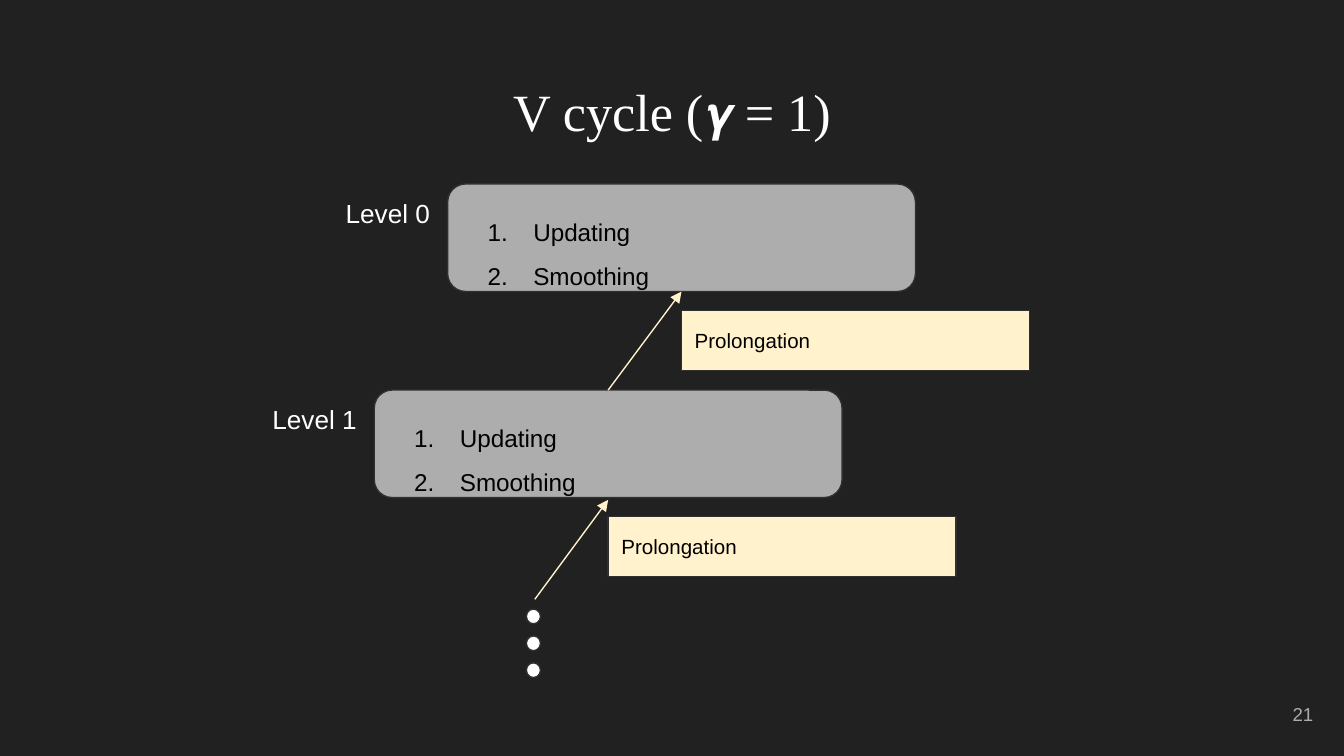
from lxml.etree import SubElement
from pptx import Presentation
from pptx.dml.color import RGBColor
from pptx.enum.shapes import MSO_CONNECTOR, MSO_SHAPE
from pptx.enum.text import MSO_ANCHOR, PP_ALIGN
from pptx.oxml.ns import qn
from pptx.util import Pt

DARK, EDGE, GRAY, CREAM = "212121", "303030", "ADADAD", "FFF2CC"
WHITE, BLACK = "FFFFFF", "000000"


def paint(target, color):
    """Give a fill a solid colour."""
    target.solid()
    target.fore_color.rgb = RGBColor.from_string(color)


def write(shape, text, size, color, font="Arial", align=PP_ALIGN.LEFT,
          anchor=MSO_ANCHOR.TOP, numbered=False):
    """Fill a shape with one paragraph per line of text."""
    frame = shape.text_frame
    frame.word_wrap = True
    frame.vertical_anchor = anchor
    frame.margin_left = frame.margin_right = Pt(7.2)
    frame.margin_top = frame.margin_bottom = Pt(7.2)
    frame.text = text
    for para in frame.paragraphs:
        para.alignment = align
        if numbered:
            para.line_spacing = 1.5
            props = para._p.get_or_add_pPr()
            props.set("marL", str(Pt(36)))
            props.set("indent", str(Pt(-24.5)))
            bullet_color = SubElement(props, qn("a:buClr"))
            SubElement(bullet_color, qn("a:srgbClr"), val=color)
            SubElement(props, qn("a:buFont"), typeface=font)
            SubElement(props, qn("a:buAutoNum"), type="arabicPeriod")
        para.font.name = font
        para.font.size = Pt(size)
        paint(para.font.fill, color)


deck = Presentation()
deck.slide_width, deck.slide_height = Pt(720), Pt(405)
page = deck.slides.add_slide(deck.slide_layouts[6])
paint(page.background.fill, DARK)
shapes = page.shapes

title = shapes.add_textbox(Pt(24.5), Pt(35.3), Pt(671), Pt(45.4))
write(title, "V cycle (𝞬 = 1)", 28, WHITE, font="Times New Roman", align=PP_ALIGN.CENTER)

# Each level sits one step down and to the left of the level above
step_x, step_y = 39.3, 110.4
box_width, box_height = 250.6, 57.6
level_boxes, outlined = [], []
for level in range(2):
    left, top = 239.8 - level * step_x, 98.6 + level * step_y
    middle = left + box_width / 2

    box = shapes.add_shape(MSO_SHAPE.ROUNDED_RECTANGLE,
                           Pt(left), Pt(top), Pt(box_width), Pt(box_height))
    paint(box.fill, GRAY)
    write(box, "Updating\nSmoothing", 13, BLACK, numbered=True)
    level_boxes.append(box)

    step_label = shapes.add_shape(MSO_SHAPE.RECTANGLE,
                                  Pt(middle), Pt(top + 67.6), Pt(186.4), Pt(32.4))
    paint(step_label.fill, CREAM)
    write(step_label, "Prolongation", 11, BLACK, anchor=MSO_ANCHOR.MIDDLE)
    outlined += [box, step_label]

    level_name = shapes.add_textbox(Pt(left - 61.7), Pt(top), Pt(62), Pt(32.4))
    write(level_name, f"Level {level}", 14, WHITE)

for index in range(3):
    dot = shapes.add_shape(MSO_SHAPE.FLOWCHART_CONNECTOR,
                           Pt(282), Pt(326.3 + index * 14.4), Pt(7.6), Pt(7.9))
    paint(dot.fill, WHITE)
    outlined.append(dot)

for shape in outlined:
    shape.shadow.inherit = False
    paint(shape.line.fill, EDGE)
    shape.line.width = Pt(0.75)

upper, lower = level_boxes
rise = shapes.add_connector(MSO_CONNECTOR.STRAIGHT, 0, 0, 0, 0)
rise.begin_connect(lower, 0)
rise.end_connect(upper, 2)
rise_from_below = shapes.add_connector(MSO_CONNECTOR.STRAIGHT,
                                       Pt(286.5), Pt(321.1), Pt(325.8), Pt(267.8))
for arrow in (rise, rise_from_below):
    paint(arrow.line.fill, CREAM)
    arrow.line.width = Pt(0.75)
    SubElement(arrow.line._get_or_add_ln(), qn("a:tailEnd"), type="triangle")
    SubElement(arrow._element.spPr, qn("a:effectLst"))

number = shapes.add_textbox(Pt(667.4), Pt(367.2), Pt(43.2), Pt(31))
write(number, "21", 10, GRAY, align=PP_ALIGN.RIGHT, anchor=MSO_ANCHOR.MIDDLE)

deck.save("out.pptx")
